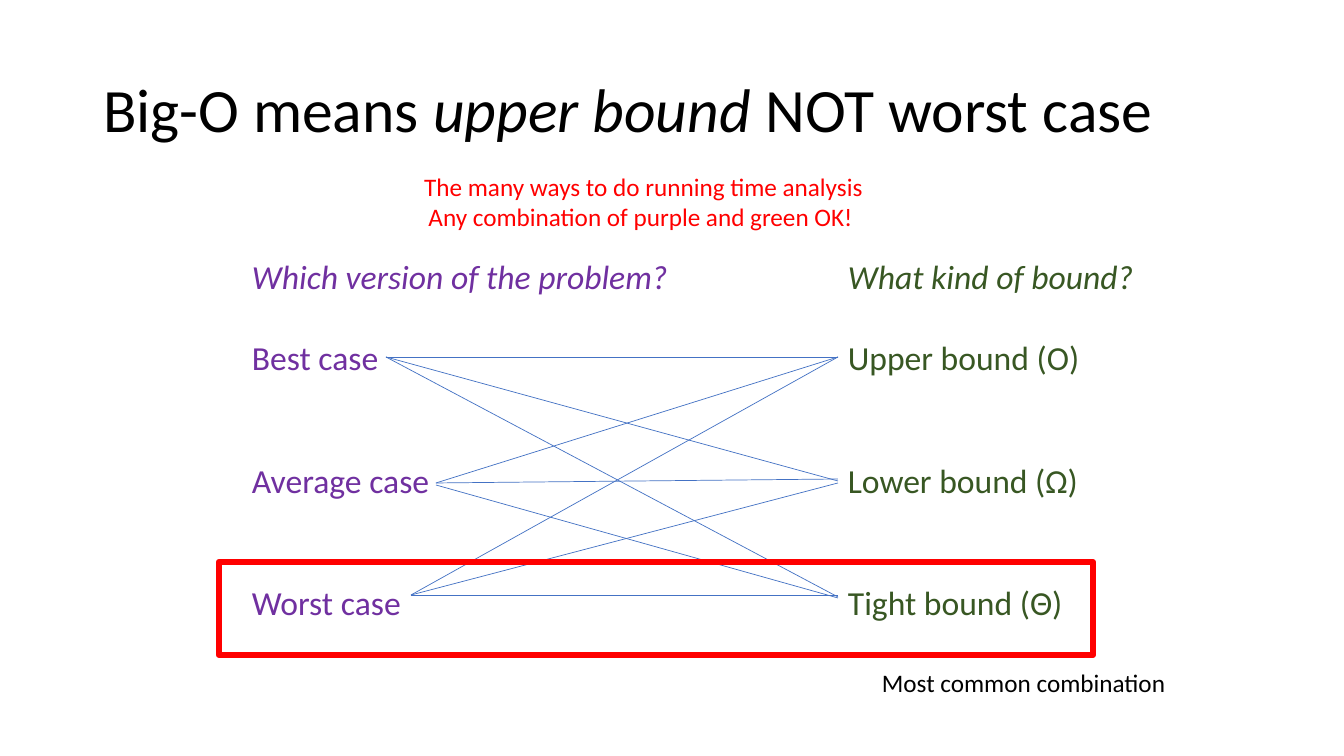
from dataclasses import dataclass

from lxml import etree
from pptx import Presentation
from pptx.dml.color import RGBColor
from pptx.enum.shapes import MSO_CONNECTOR, MSO_SHAPE
from pptx.enum.text import MSO_ANCHOR, MSO_AUTO_SIZE, PP_ALIGN
from pptx.oxml.ns import qn
from pptx.util import Emu, Pt

BLACK = RGBColor(0x00, 0x00, 0x00)
PURPLE = RGBColor(0x70, 0x30, 0xA0)
GREEN = RGBColor(0x38, 0x57, 0x23)
RED = RGBColor(0xFF, 0x00, 0x00)
BLUE = RGBColor(0x44, 0x72, 0xC4)
LEFT, CENTER = PP_ALIGN.LEFT, PP_ALIGN.CENTER
STRAIGHT, RECTANGLE = MSO_CONNECTOR.STRAIGHT, MSO_SHAPE.RECTANGLE
MIDDLE, NO_AUTOFIT = MSO_ANCHOR.MIDDLE, MSO_AUTO_SIZE.NONE

FONT = "Calibri"
EMU_PER_PX = 914400 / 100.8
BLANK_LINE = 29.3  # height of one 24 pt line, in points
BOUND_X = 838


@dataclass
class Column:
    """A question with its three answers."""
    box: tuple[int, int, int, int]
    color: RGBColor
    question: str
    answers: tuple[str, ...]


@dataclass
class Fan:
    """Lines from one case to every bound, as (start y, end y) pairs."""
    x: int
    ys: tuple[tuple[int, int], ...]


COLUMNS = (
    Column((242, 251, 440, 377), PURPLE, "Which version of the problem?",
           ("Best case", "Average case", "Worst case")),
    Column((BOUND_X, 251, 308, 377), GREEN, "What kind of bound?",
           ("Upper bound (O)", "Lower bound (Ω)", "Tight bound (Θ)")),
)
FANS = (
    Fan(386, ((357, 357), (357, 481), (357, 597))),
    Fan(436, ((483, 357), (483, 479), (485, 598))),
    Fan(411, ((595, 357), (595, 483), (595, 595))),
)


def px(n: int) -> Emu:
    """Turn pixels into EMU."""
    return Emu(round(n * EMU_PER_PX))


def add_run(p, text: str, size: int, color: RGBColor, italic: bool = False) -> None:
    """Append one formatted run to a paragraph."""
    r = p.add_run()
    r.text = text
    r.font.name, r.font.size, r.font.italic = FONT, Pt(size), italic
    r.font.color.rgb = color


def add_textbox(s, box: tuple[int, int, int, int]):
    """Add a text box that does not wrap and return its text frame."""
    tf = s.shapes.add_textbox(*map(px, box)).text_frame
    tf.word_wrap = False
    return tf


def add_title(s) -> None:
    """Place and fill the title placeholder."""
    sp = s.shapes.title
    sp.left, sp.top, sp.width, sp.height = map(px, (93, 40, 1159, 146))
    tf = sp.text_frame
    tf.vertical_anchor, tf.auto_size = MIDDLE, NO_AUTOFIT
    p = tf.paragraphs[0]
    p.alignment, p.line_spacing = LEFT, 0.9
    add_run(p, "Big-O means ", 44, BLACK)
    add_run(p, "upper bound", 44, BLACK, italic=True)
    add_run(p, " NOT worst case", 44, BLACK)


def add_column(s, column: Column) -> None:
    """Add a question and its spaced answers."""
    tf = add_textbox(s, column.box)
    add_run(tf.paragraphs[0], column.question, 24, column.color, italic=True)
    for i, answer in enumerate(column.answers):
        p = tf.add_paragraph()
        p.space_before = Pt(BLANK_LINE * (2 if i else 1))
        add_run(p, answer, 24, column.color)


def add_subtitle(s) -> None:
    """Add the two centred red lines under the title."""
    p = add_textbox(s, (411, 166, 465, 72)).paragraphs[0]
    p.alignment = CENTER
    add_run(p, "The many ways to do running time analysis", 18, RED)
    p.add_line_break()
    add_run(p, "Any combination of purple and green OK! ", 18, RED)


def add_fan(s, fan: Fan) -> None:
    """Connect one case to the three bounds."""
    for y1, y2 in fan.ys:
        line = s.shapes.add_connector(STRAIGHT, px(fan.x), px(y1), px(BOUND_X), px(y2))
        line.line.color.rgb, line.line.width = BLUE, Pt(0.5)
        etree.SubElement(line._element.spPr, qn("a:effectLst"))


def add_highlight(s) -> None:
    """Frame the most common combination and label it."""
    sp = s.shapes.add_shape(RECTANGLE, *map(px, (219, 562, 874, 93)))
    sp.shadow.inherit = False
    sp.fill.background()
    sp.line.color.rgb, sp.line.width = RED, Pt(4.5)
    tf = add_textbox(s, (872, 662, 306, 40))
    add_run(tf.paragraphs[0], "Most common combination", 18, BLACK)


def main() -> None:
    """Build and save the slide."""
    prs = Presentation()
    prs.slide_width, prs.slide_height = px(1344), px(756)
    s = prs.slides.add_slide(prs.slide_layouts[5])
    add_title(s)
    for column in COLUMNS:
        add_column(s, column)
    add_subtitle(s)
    for fan in FANS:
        add_fan(s, fan)
    add_highlight(s)
    prs.save("out.pptx")


main()
